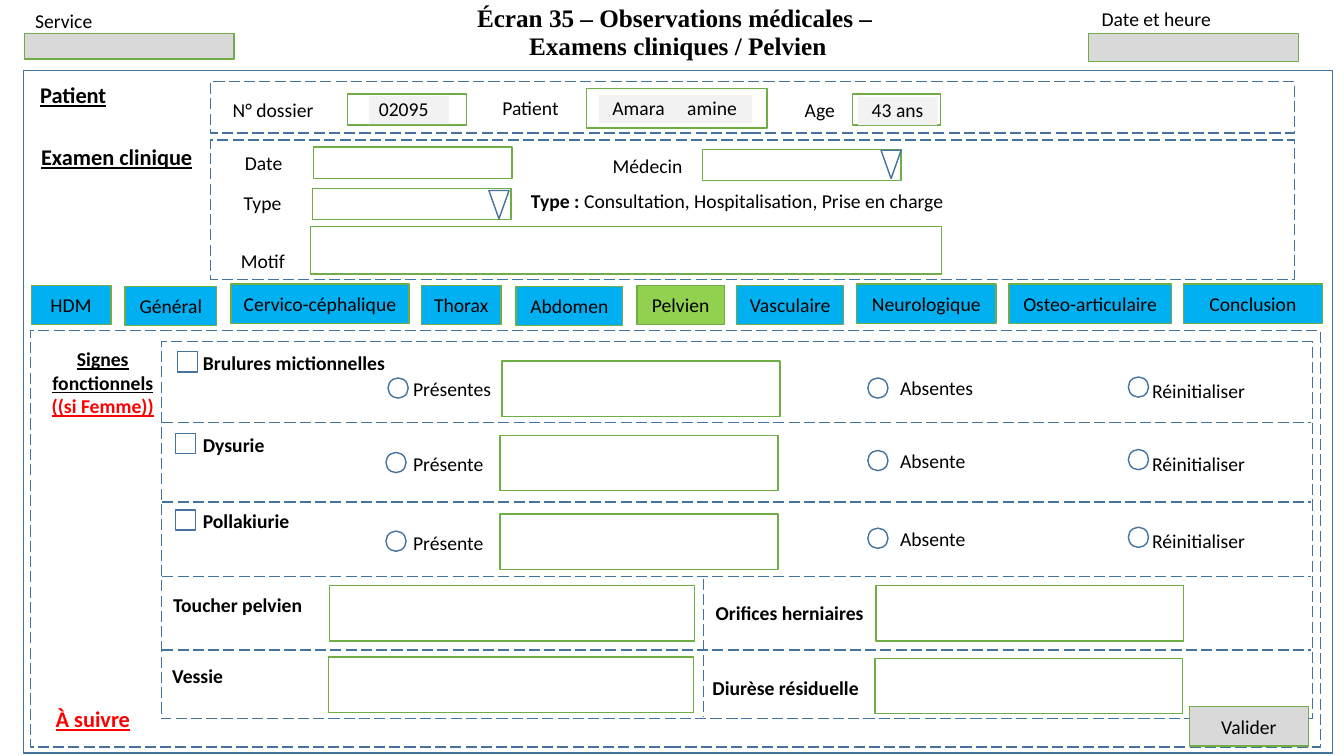
from dataclasses import dataclass

import pptx
import pptx.dml.color
import pptx.enum.dml
import pptx.enum.shapes
import pptx.enum.text
import pptx.util
from pptx.enum.shapes import MSO_SHAPE
from pptx.enum.text import MSO_ANCHOR, PP_ALIGN
from pptx.util import Pt
from lxml import etree


@dataclass(frozen=True)
class Theme:
    font: str = "Calibri"
    title_font: str = "Times New Roman"
    body: int = 14
    heading: int = 16
    title: int = 18
    black: str = "000000"
    red: str = "FF0000"
    blue: str = "43739E"
    green: str = "70AD47"
    gray: str = "D9D9D9"
    pale: str = "F2F2F2"
    tab: str = "00B0F0"
    active_tab: str = "92D050"


THEME = Theme()
LABEL_HEIGHT = 24.5
MARK = 14.4
FIELD_HEIGHT = 39.6
EFFECTS = '<a:effectLst xmlns:a="http://schemas.openxmlformats.org/drawingml/2006/main"/>'


def rgb(color):
    return pptx.dml.color.RGBColor.from_string(color)


def style_line(line, color, dashed=False):
    line.color.rgb = rgb(color)
    line.width = Pt(1)
    if dashed:
        line.dash_style = pptx.enum.dml.MSO_LINE.LONG_DASH


def write(paragraph, text, size=THEME.body, font=THEME.font, color=THEME.black,
          bold=False, underline=False, center=False, spacing=1.0):
    paragraph.text = text
    paragraph.alignment = PP_ALIGN.CENTER if center else PP_ALIGN.LEFT
    paragraph.line_spacing = spacing
    paragraph.font.size = Pt(size)
    paragraph.font.name = font
    paragraph.font.bold = bold
    paragraph.font.underline = underline
    paragraph.font.color.rgb = rgb(color)


def add_label(slide, text, left, top, width, height=LABEL_HEIGHT, **style):
    """Add a vertically centred text box and return its frame."""
    frame = slide.shapes.add_textbox(Pt(left), Pt(top), Pt(width), Pt(height)).text_frame
    frame.word_wrap = True
    frame.vertical_anchor = MSO_ANCHOR.MIDDLE
    write(frame.paragraphs[0], text, **style)
    return frame


def add_box(slide, left, top, width, height, line=THEME.green, fill=None,
            dashed=False, kind=MSO_SHAPE.RECTANGLE):
    shape = slide.shapes.add_shape(kind, Pt(left), Pt(top), Pt(width), Pt(height))
    shape.shadow.inherit = False
    if fill:
        shape.fill.solid()
        shape.fill.fore_color.rgb = rgb(fill)
    else:
        shape.fill.background()
    if line:
        style_line(shape.line, line, dashed)
    else:
        shape.line.fill.background()
    return shape


def add_filled_text(slide, text, left, top, width, height, fill, line=THEME.green,
                    center=True, spacing=1.0):
    """Add a filled box, such as a button or a tab, with its caption."""
    frame = add_box(slide, left, top, width, height, line, fill).text_frame
    frame.word_wrap = True
    frame.vertical_anchor = MSO_ANCHOR.MIDDLE
    write(frame.paragraphs[0], text, center=center, spacing=spacing)


def add_mark(slide, left, top, kind=MSO_SHAPE.OVAL):
    add_box(slide, left, top, MARK, MARK, THEME.blue, kind=kind)


def add_dropdown(slide, left, top, arrow_left, arrow_top):
    add_box(slide, left, top, 141.8, 22.3)
    arrow = add_box(slide, arrow_left, arrow_top, 14.4, 20.2, THEME.blue,
                    kind=MSO_SHAPE.ISOSCELES_TRIANGLE)
    arrow.rotation = 180


def add_divider(slide, x1, y1, x2, y2):
    divider = slide.shapes.add_connector(
        pptx.enum.shapes.MSO_CONNECTOR.STRAIGHT, Pt(x1), Pt(y1), Pt(x2), Pt(y2))
    style_line(divider.line, THEME.blue, dashed=True)
    divider._element.spPr.append(etree.fromstring(EFFECTS))


def add_header(slide):
    frame = add_label(slide, "Écran 35 – Observations médicales – ", 248.4, 5, 471.6, 42.5,
                      size=THEME.title, font=THEME.title_font, bold=True,
                      center=True, spacing=0.95)
    frame.vertical_anchor = MSO_ANCHOR.BOTTOM
    write(frame.add_paragraph(), "Examens cliniques / Pelvien", size=THEME.title,
          font=THEME.title_font, bold=True, center=True, spacing=0.95)
    add_box(slide, 16.6, 50.4, 935.3, 487.4, THEME.blue)
    add_box(slide, 17.3, 23.8, 149.8, 18.4, fill=THEME.gray)
    add_box(slide, 777.6, 23.8, 149.8, 20.2, fill=THEME.gray)
    add_label(slide, "Service", 18, 2.2, 100.8)
    add_label(slide, "Date et heure", 779.8, 1.4, 100)


def add_patient(slide):
    add_box(slide, 150.5, 58.3, 774, 36.7, THEME.blue, dashed=True)
    add_label(slide, "Patient", 21.6, 51.1, 85, 34.6, size=THEME.heading, bold=True,
              underline=True, spacing=0.95)
    for text, left, top, width in (("N° dossier", 154.8, 63.4, 80.6),
                                   ("Patient ", 342.7, 61.9, 75.6),
                                   ("Age ", 565.2, 63.4, 43.9)):
        add_label(slide, text, left, top, width, 31, center=True, spacing=0.95)
    for left, top, width, height in ((248.4, 67, 85, 22.3), (419, 63.4, 128.9, 28.1),
                                     (609.1, 67, 62.6, 22.3)):
        add_box(slide, left, top, width, height)
    for text, left, top in (("02095", 263.5, 68.4), ("Amara", 427.7, 67.7),
                            ("amine", 480.2, 67.7), ("43 ans", 612.7, 69.1)):
        add_filled_text(slide, text, left, top, 56.9, 20.2, THEME.pale, line=None,
                        center=text != "02095", spacing=0.95)


def add_examination(slide):
    add_box(slide, 150.5, 100.1, 774, 99.4, THEME.blue, dashed=True)
    add_label(slide, "Examen clinique", 22.3, 98.6, 128, 26.6, size=THEME.heading,
              bold=True, underline=True)
    for text, left, top, width, height in (("Date", 167.8, 102.2, 56.9, 30.2),
                                           ("Type", 167, 131.8, 56.9, 28.1),
                                           ("Motif", 164.9, 174.2, 56.9, 25.2),
                                           ("Médecin", 421.9, 104.4, 81.4, 28.8)):
        add_label(slide, text, left, top, width, height,
                  center=text == "Médecin", spacing=0.95)
    add_box(slide, 223.9, 105.1, 141.8, 22.3)
    add_box(slide, 221.8, 162, 450.7, 33.8)
    add_dropdown(slide, 223.2, 134.6, 349.2, 136.1)
    add_dropdown(slide, 501.8, 106.6, 629.3, 107.3)
    frame = add_label(slide, "", 372.2, 128.2, 316.8, 32.4, spacing=0.95)
    paragraph = frame.paragraphs[0]
    heading = paragraph.add_run()
    heading.text = "Type : "
    heading.font.bold = True
    paragraph.add_run().text = "Consultation, Hospitalisation, Prise en charge"


def add_tabs(slide):
    tabs = (("HDM", 22.3, 203.8, 56.9), ("Général", 89.3, 204.5, 65.5),
            ("Cervico-céphalique", 164.9, 203, 127.4), ("Thorax", 301, 203.8, 56.9),
            ("Abdomen", 368.6, 204.5, 76.3), ("Pelvien", 455, 203.8, 62.6),
            ("Vasculaire", 526.3, 203.8, 76.3), ("Neurologique", 612, 203, 99.4),
            ("Osteo-articulaire", 720.7, 203, 115.9), ("Conclusion", 845.3, 203, 99.4))
    for text, left, top, width in tabs:
        fill = THEME.active_tab if text == "Pelvien" else THEME.tab
        add_filled_text(slide, text, left, top, width, 28.1, fill)


def add_symptom(slide, name, present, absent, name_top, field_left, field_top, choice_top):
    """Add a checkbox row with its two answers and its reset choice."""
    add_mark(slide, field_left - 231.8, name_top + 4.3, MSO_SHAPE.RECTANGLE)
    add_label(slide, name, 137.8, name_top, 154, bold=True)
    add_mark(slide, field_left - 81.4, field_top + 12.2)
    add_label(slide, present, 288, field_top + 7.9, 70.6)
    add_box(slide, field_left, field_top, 198.7, FIELD_HEIGHT)
    add_mark(slide, 619.9, choice_top)
    add_label(slide, absent, 635.8, choice_top - 5, 70.6)
    add_mark(slide, 806, choice_top - 0.7)
    add_label(slide, "Réinitialiser", 815.8, choice_top - 3, 85)


def add_pelvic_form(slide):
    add_box(slide, 21.6, 236.2, 921.6, 297.4, THEME.blue, dashed=True)
    add_box(slide, 115.2, 244.1, 822.2, 269.3, THEME.blue, dashed=True)
    frame = add_label(slide, "Signes fonctionnels", 28.1, 244.1, 90.7, 58.3,
                      bold=True, underline=True, center=True)
    write(frame.add_paragraph(), "((si Femme))", color=THEME.red,
          bold=True, underline=True, center=True)
    add_symptom(slide, "Brulures mictionnelles", "Présentes", "Absentes",
                247, 358.6, 257.8, 270)
    add_symptom(slide, "Dysurie", "Présente", "Absente", 305.3, 357.1, 311, 321.8)
    add_symptom(slide, "Pollakiurie", "Présente", "Absente", 360, 357.1, 367.2, 377.3)
    for text, left, top, field_left, field_top, field_width in (
            ("Toucher pelvien", 116.6, 419.8, 235.4, 418.3, 260.6),
            ("Vessie", 115.9, 470.2, 234.7, 469.4, 260.6),
            ("Orifices herniaires", 504, 425.5, 625.7, 418.3, 219.6),
            ("Diurèse résiduelle", 501.8, 478.8, 625, 470.2, 219.6)):
        add_label(slide, text, left, top, 121.7, bold=True)
        add_box(slide, field_left, field_top, field_width, FIELD_HEIGHT)
    for y in (301.7, 358.6, 411.8, 464.4):
        add_divider(slide, 115.9, y, 936.7, y)
    add_divider(slide, 502.6, 413.3, 502.6, 511.9)
    add_label(slide, "À suivre", 23.8, 501.1, 85, 25.9, size=THEME.heading,
              color=THEME.red, bold=True, underline=True, center=True, spacing=0.95)
    add_filled_text(slide, "Valider", 849.6, 504.7, 85, 28.1, THEME.gray)


def main():
    presentation = pptx.Presentation()
    presentation.slide_width = Pt(960)
    presentation.slide_height = Pt(540)
    slide = presentation.slides.add_slide(presentation.slide_layouts[6])
    add_header(slide)
    add_patient(slide)
    add_examination(slide)
    add_tabs(slide)
    add_pelvic_form(slide)
    presentation.save("out.pptx")


if __name__ == "__main__":
    main()
